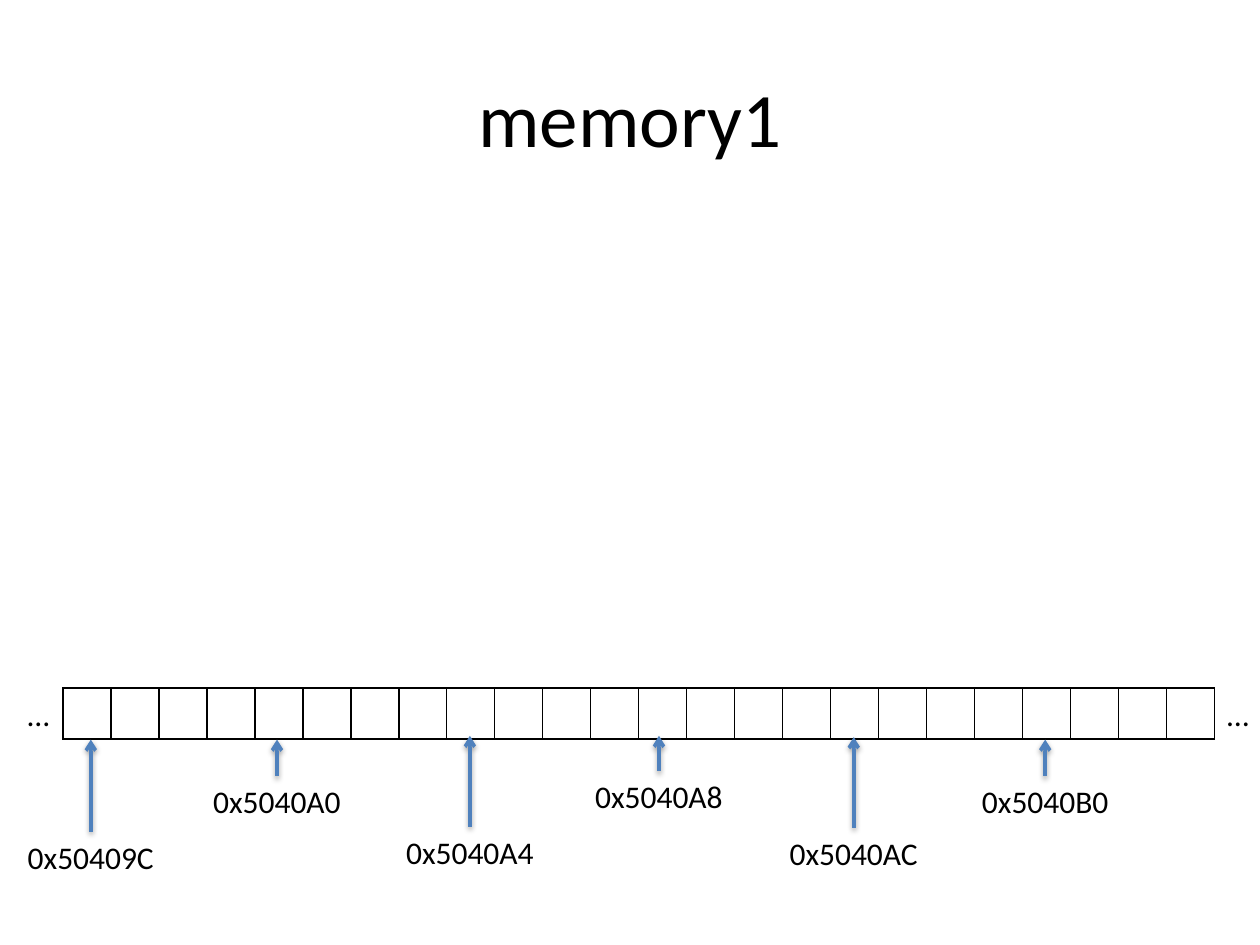
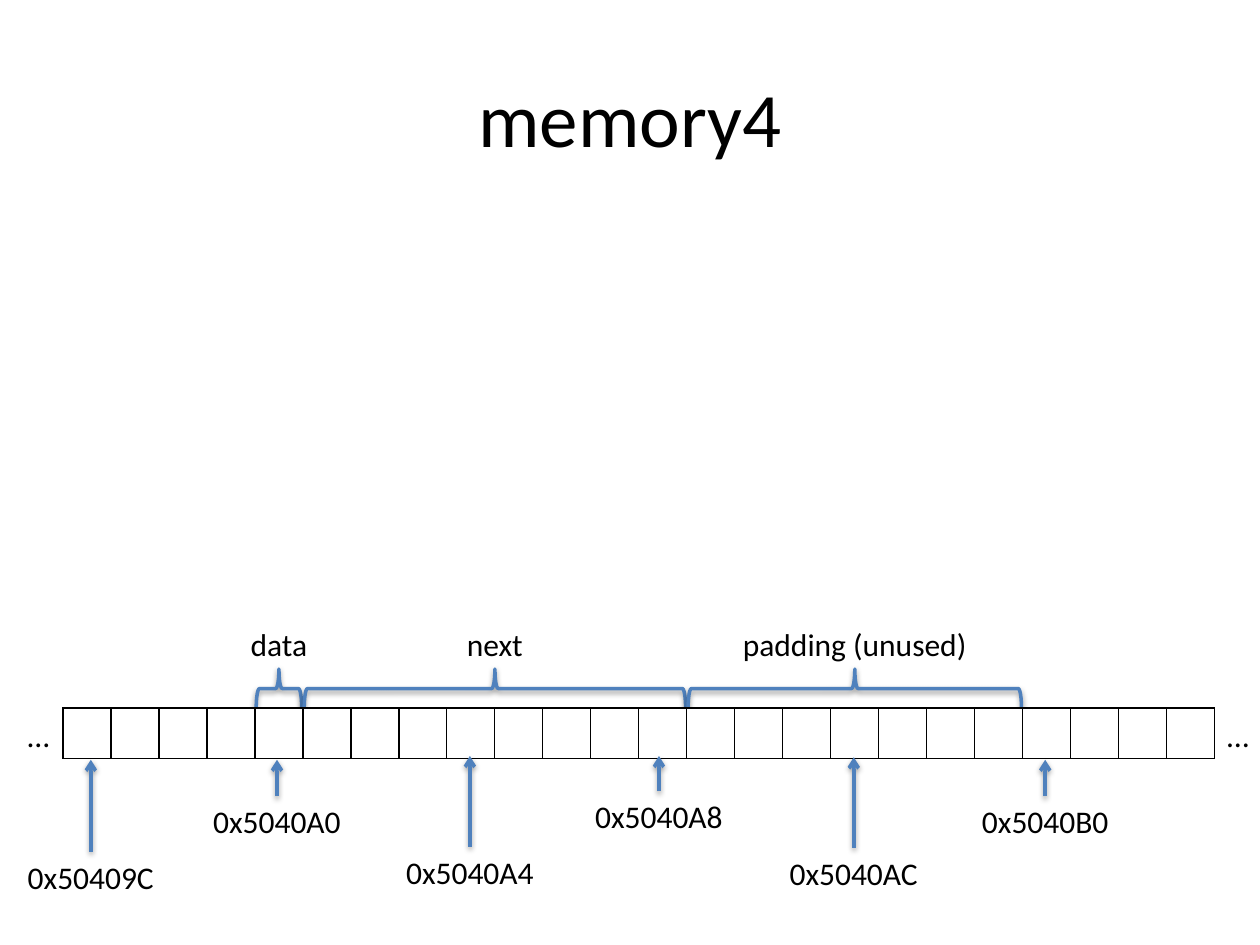
from dataclasses import dataclass

from lxml import etree
from pptx import Presentation
from pptx import util as u
from pptx.dml.color import RGBColor
from pptx.enum import shapes, text
from pptx.oxml import ns

ADDRESSES = [
    ("0x50409C", 0.58, 0.41, 1.14),
    ("0x5040A0", 4.46, 0.41, 0.70),
    ("0x5040A4", 8.48, 0.38, 1.10),
    ("0x5040A8", 12.42, 0.38, 0.66),
    ("0x5040AC", 16.48, 0.39, 1.11),
    ("0x5040B0", 20.47, 0.41, 0.70),
]
FIELDS = [("data", 4, 5, 0.66), ("next", 5, 13, 0.65), ("padding (unused)", 13, 20, 2.0)]
SLIDES = [("memory1", 5.46, []), ("memory4", 5.62, FIELDS)]


@dataclass(frozen=True)
class Theme:
    font: str = "Calibri"
    title_size: int = 44
    label_size: int = 18
    ink: str = "000000"
    paper: str = "FFFFFF"
    accent: str = "4F81BD"
    accent_width: int = 2
    border_width: int = 1


THEME = Theme()
WIDTH, HEIGHT = 10, 7.5
CELLS = 24
STRIP_LEFT, STRIP_WIDTH, STRIP_HEIGHT = 0.5, 9.14, 0.4
CELL = STRIP_WIDTH / CELLS
ADDRESS_WIDTH, ELLIPSIS_WIDTH, LABEL_HEIGHT = 1.23, 0.38, 0.4
BRACE_DEPTH, BRACE_INSET, FIELD_RISE = 0.31, 0.01, 0.71


def cell_x(position):
    return STRIP_LEFT + position * CELL


def inches(*lengths):
    return [u.Inches(length) for length in lengths]


def write(frame, words, size=THEME.label_size, align=text.PP_ALIGN.CENTER):
    para = frame.paragraphs[0]
    para.alignment = align
    span = para.add_run()
    span.text = words
    span.font.name = THEME.font
    span.font.size = u.Pt(size)
    span.font.color.rgb = RGBColor.from_string(THEME.ink)


def add_label(page, words, center, top, width, **style):
    box = page.shapes.add_textbox(*inches(center - width / 2, top, width, LABEL_HEIGHT))
    box.text_frame.word_wrap = False
    box.text_frame.auto_size = text.MSO_AUTO_SIZE.SHAPE_TO_FIT_TEXT
    write(box.text_frame, words, **style)


def add_xml(parent, tag, **attributes):
    return etree.SubElement(parent, ns.qn(tag), attributes)


def style_stroke(shape):
    shape.line.color.rgb = RGBColor.from_string(THEME.accent)
    shape.line.width = u.Pt(THEME.accent_width)
    effects = add_xml(shape._element.spPr, "a:effectLst")
    shadow = add_xml(effects, "a:outerShdw", blurRad="40000", dist="20000",
                     dir="5400000", rotWithShape="0")
    add_xml(add_xml(shadow, "a:srgbClr", val=THEME.ink), "a:alpha", val="38000")


def add_arrow(page, x, start, tip):
    arrow = page.shapes.add_connector(
        shapes.MSO_CONNECTOR.STRAIGHT, *inches(x, start, x, tip))
    style_stroke(arrow)
    add_xml(arrow.line._get_or_add_ln(), "a:tailEnd", type="arrow")


def add_brace(page, first, last, bottom):
    length = (last - first) * CELL - 2 * BRACE_INSET
    center_x = cell_x((first + last) / 2)
    center_y = bottom - BRACE_DEPTH / 2
    brace = page.shapes.add_shape(
        shapes.MSO_SHAPE.LEFT_BRACE,
        *inches(center_x - BRACE_DEPTH / 2, center_y - length / 2, BRACE_DEPTH, length))
    brace.rotation = 90
    brace.fill.background()
    style_stroke(brace)


def add_strip(page, top):
    table = page.shapes.add_table(
        1, CELLS, *inches(STRIP_LEFT, top, STRIP_WIDTH, STRIP_HEIGHT)).table
    table.first_row = table.horz_banding = False
    for column in table.columns:
        column.width = u.Inches(CELL)
    for cell in table.iter_cells():
        properties = cell._tc.get_or_add_tcPr()
        for side in ("a:lnL", "a:lnR", "a:lnT", "a:lnB"):
            border = add_xml(properties, side, w=str(u.Pt(THEME.border_width)))
            add_xml(add_xml(border, "a:solidFill"), "a:srgbClr", val=THEME.ink)
        cell.fill.solid()
        cell.fill.fore_color.rgb = RGBColor.from_string(THEME.paper)


def add_memory(deck, title, top, fields):
    page = deck.slides.add_slide(deck.slide_layouts.get_by_name("Title Only"))
    heading = page.shapes.title
    heading.left, heading.top, heading.width, heading.height = inches(0.5, 0.3, 9, 1.25)
    heading.text_frame.vertical_anchor = text.MSO_ANCHOR.MIDDLE
    write(heading.text_frame, title, size=THEME.title_size)
    for name, first, last, width in fields:
        add_brace(page, first, last, top)
        add_label(page, name, cell_x((first + last) / 2), top - FIELD_RISE, width)
    add_strip(page, top)
    for address, position, tip, drop in ADDRESSES:
        x = cell_x(position)
        add_label(page, address, x, top + drop, ADDRESS_WIDTH)
        add_arrow(page, x, top + drop, top + tip)
    for edge in (STRIP_LEFT - ELLIPSIS_WIDTH, STRIP_LEFT + STRIP_WIDTH):
        add_label(page, "…", edge + ELLIPSIS_WIDTH / 2, top + 0.01, ELLIPSIS_WIDTH,
                  align=text.PP_ALIGN.LEFT)


def main():
    deck = Presentation()
    deck.slide_width, deck.slide_height = inches(WIDTH, HEIGHT)
    for title, top, fields in SLIDES:
        add_memory(deck, title, top, fields)
    deck.save("out.pptx")


if __name__ == "__main__":
    main()
